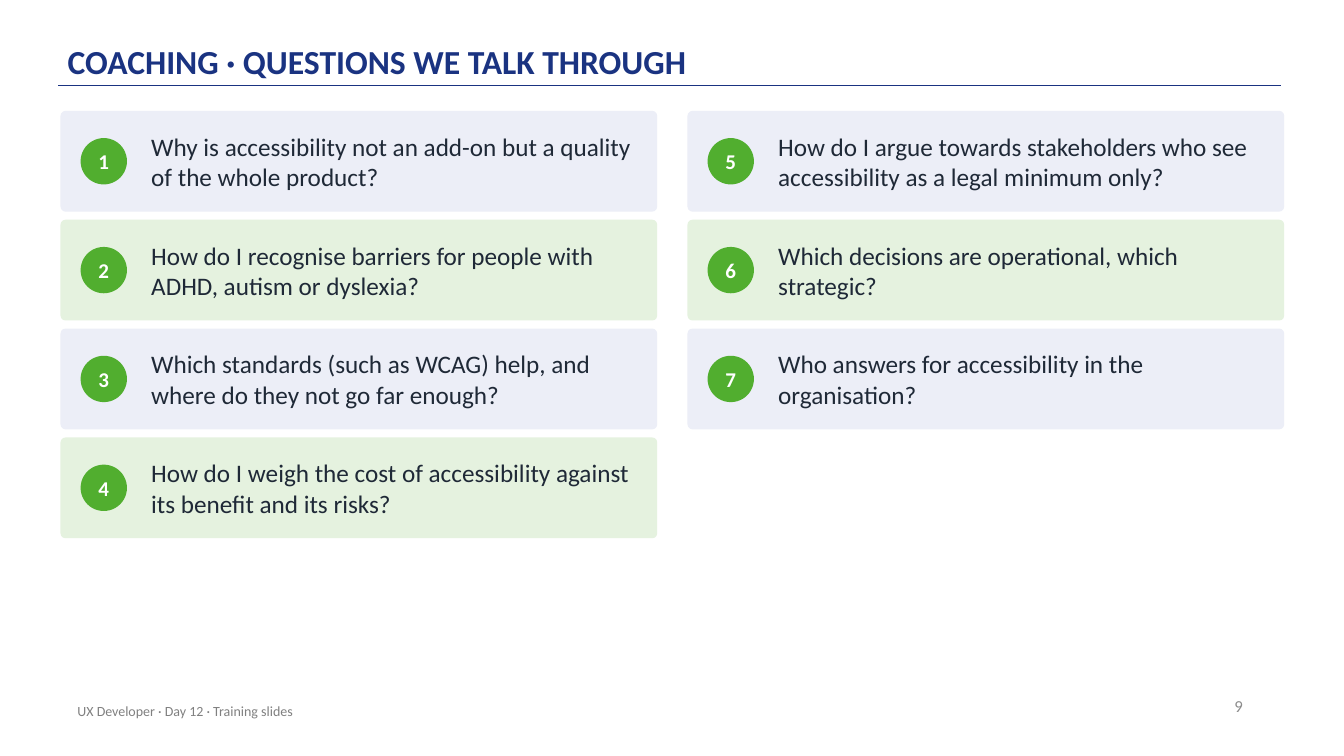
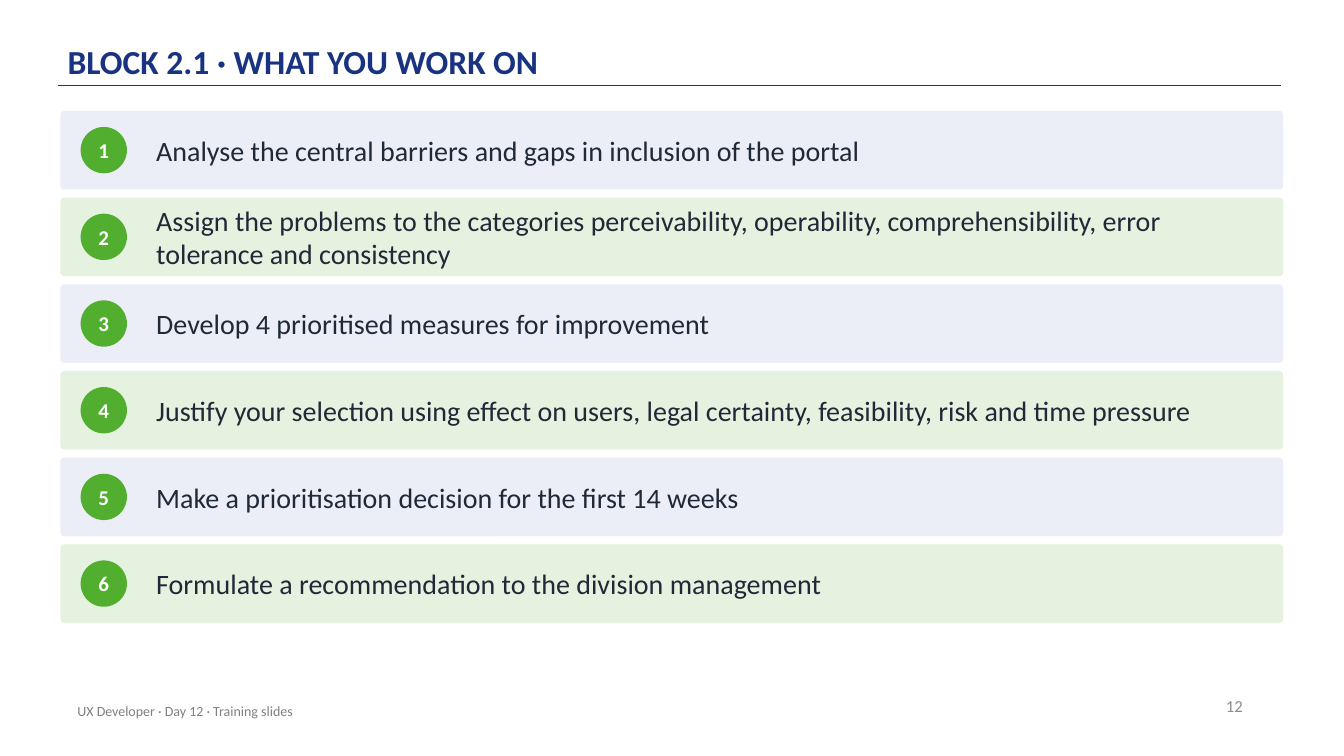
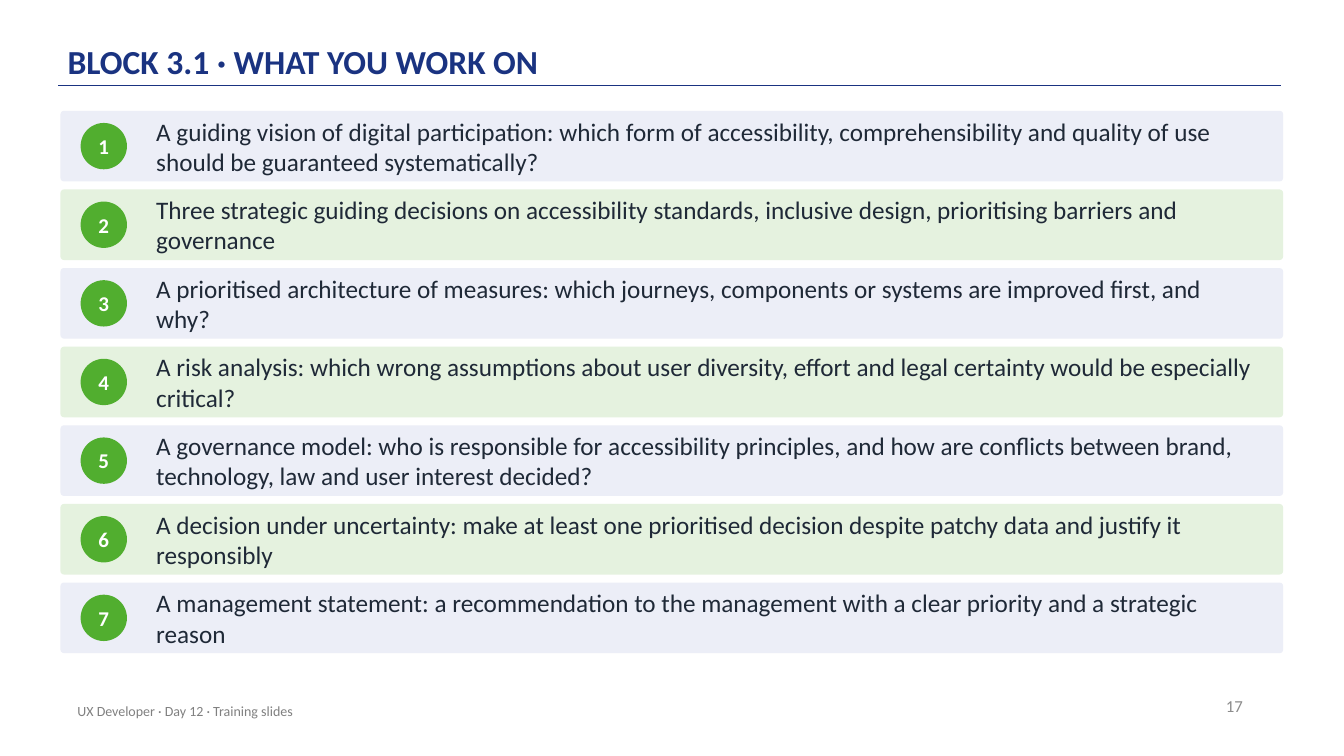
"""Build three training slides with numbered question and task cards."""
from dataclasses import dataclass

from pptx import Presentation
from pptx.dml.color import RGBColor
from pptx.enum.shapes import MSO_CONNECTOR as Connector, MSO_SHAPE as Shape
from pptx.enum.text import MSO_ANCHOR as Anchor, MSO_AUTO_SIZE as AutoSize, PP_ALIGN as Align
from pptx.oxml.xmlchemy import OxmlElement
from pptx.util import Pt

FONT = "Calibri"
FOOTER = "UX Developer · Day 12 · Training slides"
COLORS = {
    "navy": "1A3381", "green": "51AE2F", "white": "FFFFFF", "ink": "1F2937",
    "lavender": "ECEEF7", "mint": "E5F2DF", "number": "8C8C8C", "footer": "808080",
}
CARD_LEFT, CARD_TOP, CARD_GAP, COLUMN_STEP = 43.2, 79.2, 5.76, 447.84
BADGE_SIZE, BADGE_INSET = 33.12, 14.4
TITLE_LAYOUT = 5


@dataclass(frozen=True)
class Box:
    left: float
    top: float
    width: float
    height: float

    def lengths(self) -> tuple:
        return Pt(self.left), Pt(self.top), Pt(self.width), Pt(self.height)


@dataclass(frozen=True)
class TextStyle:
    size: float
    color: str
    bold: bool = False
    align: Align = Align.LEFT
    anchor: Anchor = Anchor.MIDDLE
    insets: tuple = (0, 0)
    auto_size: AutoSize = AutoSize.NONE


@dataclass(frozen=True)
class CardStyle:
    width: float
    height: float
    text_size: float
    text_left: float
    text_right: float
    rows: int


@dataclass(frozen=True)
class CardSlide:
    title: str
    number: int
    style: CardStyle
    items: tuple


TITLE = TextStyle(24, "navy", bold=True, anchor=Anchor.BOTTOM, insets=(0, 2.16))
BADGE = TextStyle(15, "white", bold=True, align=Align.CENTER)
PAGE_NUMBER = TextStyle(12, "number", align=Align.RIGHT, insets=(7.2, 3.6))
FOOTER_STYLE = TextStyle(10, "footer", insets=(7.2, 3.6))

SLIDES = (
    CardSlide("COACHING · QUESTIONS WE TALK THROUGH", 9,
              CardStyle(426.24, 72, 18, 64.8, 14.4, 4), (
        "Why is accessibility not an add-on but a quality of the whole product?",
        "How do I recognise barriers for people with ADHD, autism or dyslexia?",
        "Which standards (such as WCAG) help, and where do they not go far enough?",
        "How do I weigh the cost of accessibility against its benefit and its risks?",
        "How do I argue towards stakeholders who see accessibility as a legal minimum only?",
        "Which decisions are operational, which strategic?",
        "Who answers for accessibility in the organisation?",
    )),
    CardSlide("BLOCK 2.1 · WHAT YOU WORK ON", 12,
              CardStyle(873.36, 56.16, 20, 68.4, 18, 6), (
        "Analyse the central barriers and gaps in inclusion of the portal",
        "Assign the problems to the categories perceivability, operability, "
        "comprehensibility, error tolerance and consistency",
        "Develop 4 prioritised measures for improvement",
        "Justify your selection using effect on users, legal certainty, feasibility, "
        "risk and time pressure",
        "Make a prioritisation decision for the first 14 weeks",
        "Formulate a recommendation to the division management",
    )),
    CardSlide("BLOCK 3.1 · WHAT YOU WORK ON", 17,
              CardStyle(873.36, 50.4, 18, 68.4, 18, 7), (
        "A guiding vision of digital participation: which form of accessibility, "
        "comprehensibility and quality of use should be guaranteed systematically?",
        "Three strategic guiding decisions on accessibility standards, inclusive design, "
        "prioritising barriers and governance",
        "A prioritised architecture of measures: which journeys, components or systems "
        "are improved first, and why?",
        "A risk analysis: which wrong assumptions about user diversity, effort and legal "
        "certainty would be especially critical?",
        "A governance model: who is responsible for accessibility principles, and how are "
        "conflicts between brand, technology, law and user interest decided?",
        "A decision under uncertainty: make at least one prioritised decision despite "
        "patchy data and justify it responsibly",
        "A management statement: a recommendation to the management with a clear priority "
        "and a strategic reason",
    )),
)


def rgb(name: str) -> RGBColor:
    return RGBColor.from_string(COLORS[name])


def write(shape, text: str, style: TextStyle):
    frame = shape.text_frame
    frame.word_wrap = True
    frame.auto_size = style.auto_size
    frame.vertical_anchor = style.anchor
    horizontal, vertical = style.insets
    frame.margin_left = frame.margin_right = Pt(horizontal)
    frame.margin_top = frame.margin_bottom = Pt(vertical)
    paragraph = frame.paragraphs[0]
    paragraph.alignment = style.align
    run = paragraph.add_run()
    run.text = text
    run.font.name = FONT
    run.font.size = Pt(style.size)
    run.font.bold = style.bold
    run.font.color.rgb = rgb(style.color)
    return paragraph


def add_text(slide, box: Box, text: str, style: TextStyle) -> None:
    write(slide.shapes.add_textbox(*box.lengths()), text, style)


def add_filled(slide, kind: Shape, box: Box, color: str):
    shape = slide.shapes.add_shape(kind, *box.lengths())
    shape.shadow.inherit = False
    shape.fill.solid()
    shape.fill.fore_color.rgb = rgb(color)
    shape.line.fill.background()
    return shape


def add_frame(slide, title: str, number: int) -> None:
    rule = slide.shapes.add_connector(
        Connector.STRAIGHT, Pt(41.76), Pt(61.2), Pt(915.12), Pt(61.2))
    rule.line.color.rgb = rgb("navy")
    rule.line.width = Pt(1)
    rule._element.spPr.append(OxmlElement("a:effectLst"))

    heading = slide.shapes.title
    heading.left, heading.top, heading.width, heading.height = Box(48.24, 8.64, 792, 51.84).lengths()
    write(heading, title, TITLE).line_spacing = 0.9
    add_text(slide, Box(678.96, 489.6, 216, 28.8), str(number), PAGE_NUMBER)
    add_text(slide, Box(48.24, 493.2, 482.4, 28.8), FOOTER, FOOTER_STYLE)


def add_card(slide, index: int, text: str, style: CardStyle) -> None:
    column, row = divmod(index, style.rows)
    left = CARD_LEFT + column * COLUMN_STEP
    top = CARD_TOP + row * (style.height + CARD_GAP)
    card = add_filled(slide, Shape.ROUNDED_RECTANGLE, Box(left, top, style.width, style.height),
                      "mint" if row % 2 else "lavender")
    card.adjustments[0] = 0.05

    badge_top = top + (style.height - BADGE_SIZE) / 2
    badge = add_filled(slide, Shape.OVAL,
                       Box(left + BADGE_INSET, badge_top, BADGE_SIZE, BADGE_SIZE), "green")
    write(badge, str(index + 1), BADGE)

    text_width = style.width - style.text_left - style.text_right
    add_text(slide, Box(left + style.text_left, top, text_width, style.height), text,
             TextStyle(style.text_size, "ink", auto_size=AutoSize.SHAPE_TO_FIT_TEXT))


def main() -> None:
    presentation = Presentation()
    presentation.slide_width, presentation.slide_height = Pt(960), Pt(540)
    for content in SLIDES:
        slide = presentation.slides.add_slide(presentation.slide_layouts[TITLE_LAYOUT])
        add_frame(slide, content.title, content.number)
        for index, text in enumerate(content.items):
            add_card(slide, index, text, content.style)
    presentation.save("out.pptx")


if __name__ == "__main__":
    main()
